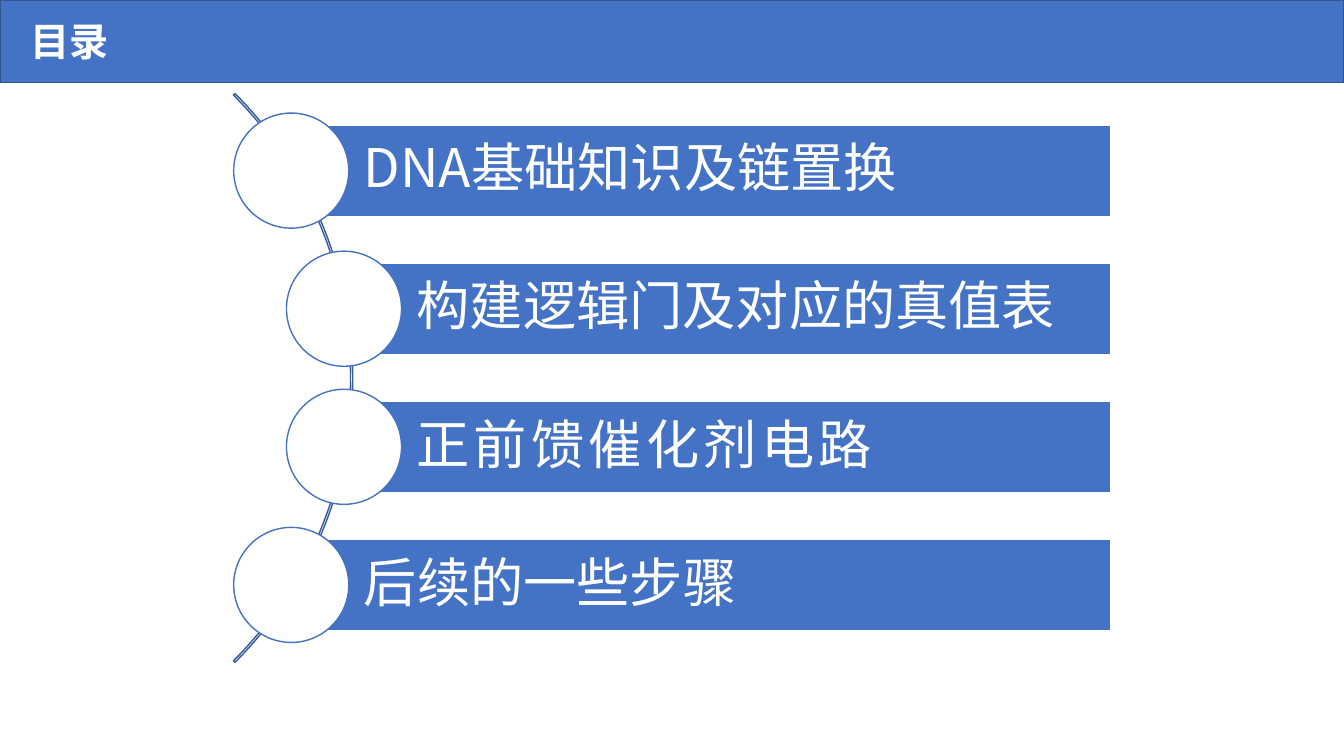
from lxml import etree
from pptx import Presentation
from pptx import util as u
from pptx.dml import color
from pptx.enum import shapes, text
from pptx.oxml import ns

COLOURS = {
    "blue": "4472C4",
    "header_line": "325491",
    "arc_line": "365B9D",
    "white": "FFFFFF",
}
FONT = "Noto Sans CJK SC"


class AgendaSlide:
    """Holds the style and the current slide."""

    def __init__(self, presentation):
        self.slide = presentation.slides.add_slide(presentation.slide_layouts[5])

    def rgb(self, name):
        return color.RGBColor.from_string(COLOURS[name])

    def shape(self, kind, left, top, width, height, fill, line):
        shape = self.slide.shapes.add_shape(
            kind, u.Cm(left), u.Cm(top), u.Cm(width), u.Cm(height))
        shape.shadow.inherit = False
        if fill:
            shape.fill.solid()
            shape.fill.fore_color.rgb = self.rgb(fill)
        else:
            shape.fill.background()
        shape.line.color.rgb = self.rgb(line)
        shape.line.width = u.Pt(1)
        return shape

    def label(self, shape, words, size, bold=False, spacing=0):
        frame = shape.text_frame
        frame.text = words
        frame.word_wrap = True
        frame.auto_size = text.MSO_AUTO_SIZE.NONE
        frame.vertical_anchor = text.MSO_ANCHOR.MIDDLE
        paragraph = frame.paragraphs[0]
        paragraph.alignment = text.PP_ALIGN.LEFT
        font = paragraph.runs[0].font
        font.name, font.size, font.bold = FONT, u.Pt(size), bold
        font.color.rgb = self.rgb("white")
        # East Asian font and letter spacing
        properties = paragraph.runs[0]._r.get_or_add_rPr()
        etree.SubElement(properties, ns.qn("a:ea"), typeface=FONT)
        if spacing:
            properties.set("spc", str(spacing * 100))
        return paragraph

    def header(self, words, width):
        title = self.slide.shapes.title
        band = self.shape(shapes.MSO_SHAPE.RECTANGLE, 0, 0, width, 2.08,
                          "blue", "header_line")
        title.element.addprevious(band.element)
        title.left, title.top = u.Cm(0.51), u.Cm(0.3)
        title.width, title.height = u.Cm(22.68), u.Cm(1.45)
        self.label(title, words, 28, bold=True)

    def arc(self, left, top, size):
        arc = self.shape(shapes.MSO_SHAPE.BLOCK_ARC, left, top, size, size,
                         None, "arc_line")
        # Start and end angles (315 and 45 degrees), then thickness
        for index, value in enumerate((189, 27, 0.0027)):
            arc.adjustments[index] = value

    def item(self, words, left, top, right, spacing):
        height, diameter = 2.3, 2.9
        bar = self.shape(shapes.MSO_SHAPE.RECTANGLE, left, top, right - left,
                         height, "blue", "white")
        frame = bar.text_frame
        frame.margin_left = u.Cm(1.83)
        frame.margin_right = frame.margin_top = frame.margin_bottom = u.Cm(0.27)
        self.label(bar, words, 38, spacing=spacing).line_spacing = 0.9
        self.shape(shapes.MSO_SHAPE.OVAL, left - diameter / 2,
                   top + (height - diameter) / 2, diameter, diameter,
                   "white", "blue")


def main():
    presentation = Presentation()
    presentation.slide_width = u.Cm(33.87)
    presentation.slide_height = u.Cm(19.05)
    agenda = AgendaSlide(presentation)

    # Header
    agenda.header("目录", 33.87)

    # Curve behind the items
    agenda.arc(-11.38, -0.61, 20.27)

    # Agenda items: words, left edge, letter spacing
    items = [
        ("DNA基础知识及链置换", 7.34, 0),
        ("构建逻辑门及对应的真值表", 8.67, 0),
        ("正前馈催化剂电路", 8.67, 3),
        ("后续的一些步骤", 7.34, 0),
    ]
    for row, (words, left, spacing) in enumerate(items):
        agenda.item(words, left, 3.15 + 3.48 * row, 28, spacing)

    presentation.save("out.pptx")


if __name__ == "__main__":
    main()
